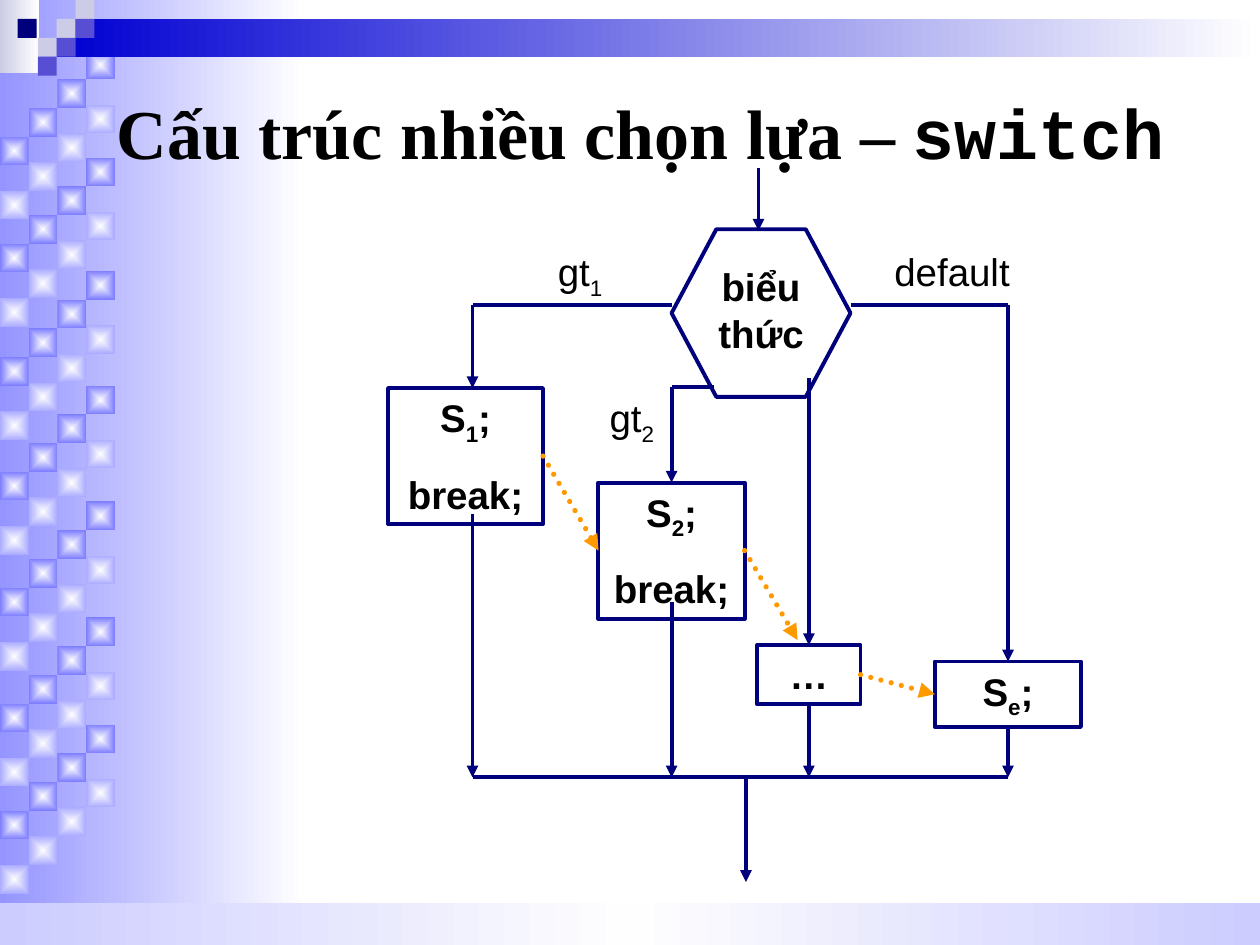
from pptx import Presentation
from pptx.dml.color import RGBColor
from pptx.enum.dml import MSO_LINE
from pptx.enum.shapes import MSO_CONNECTOR, MSO_SHAPE
from pptx.enum.text import MSO_ANCHOR, MSO_AUTO_SIZE, PP_ALIGN
from pptx.oxml import parse_xml
from pptx.oxml.ns import nsdecls, qn
from pptx.util import Inches, Pt

NAVY, ORANGE, BLACK = "00007D", "FF9900", "000000"
PALE, VIOLET = "CCCCE6", "584ED4"

# Content: "|" switches between normal and alternate (subscript or code) text
TITLE = "Cấu trúc nhiều chọn lựa – |switch"
LABELS = [
    ("gt|1", 4.33, 1.92, 0.67, 0.52),
    ("gt|2", 4.74, 3.08, 0.67, 0.52),
    ("default", 7, 1.92, 1.25, 0.47),
]
NODES = {
    "expression": (["biểu thức"], 5.33, 1.82, 1.42, 1.33),
    "first": (["S|1|;", "break;"], 3.08, 3.08, 1.23, 1.08),
    "second": (["S|2|;", "break;"], 4.75, 3.83, 1.16, 1.08),
    "dots": (["…"], 6.01, 5.12, 0.82, 0.47),
    "else": (["S|e|;"], 7.42, 5.25, 1.16, 0.52),
}

# Lines: start, end, arrow at end; an end is a point or (node, side)
TOP, LEFT, BOTTOM, RIGHT = range(4)
FALL_THROUGH = [
    (("first", RIGHT), ("second", LEFT), True),
    (("second", RIGHT), (6.33, 5.08), True),
    (("dots", RIGHT), ("else", LEFT), True),
]
FLOW = [
    ((6.02, 1.33), (6.02, 1.83), True),
    ((5.33, 2.42), (3.75, 2.42), False),
    ((3.75, 2.42), (3.75, 3.08), True),
    ((5.67, 3.07), (5.33, 3.07), False),
    ((5.33, 3.07), ("second", TOP), True),
    ((6.42, 3), ("dots", TOP), True),
    ((6.75, 2.42), (8, 2.42), False),
    ((8, 2.42), ("else", TOP), True),
    ((3.75, 4.08), (3.75, 6.17), True),
    ((5.33, 4.78), (5.33, 6.17), True),
    (("dots", BOTTOM), (6.42, 6.17), True),
    (("else", BOTTOM), (8, 6.17), True),
    ((3.75, 6.17), (8, 6.17), False),
    ((5.92, 6.17), (5.92, 7), True),
]

# Background
TILE = 0.228
TILE_CYCLES = [0.4, 1.25, 2.15, 3.06, 3.98, 4.9, 5.75]
TILE_SHADES = [("7D7DFF", 0), ("ABABFF", 0.43)]
SQUARE = 0.15
CORNER_SQUARES = [
    (0.45, 0.15, PALE), (0.6, 0, PALE), (0.6, 0.15, VIOLET), (0.3, 0.3, PALE),
    (0.14, 0.15, NAVY), (0.45, 0.3, VIOLET), (0.3, 0.45, VIOLET),
]

deck = Presentation()
deck.slide_width, deck.slide_height = Inches(10), Inches(7.5)
page = deck.slides.add_slide(deck.slide_layouts[6])


def color(value):
    return RGBColor.from_string(value)


def add_box(left, top, width, height, fill=None, line=None, kind=MSO_SHAPE.RECTANGLE):
    box = page.shapes.add_shape(kind, *map(Inches, (left, top, width, height)))
    box.shadow.inherit = False
    if fill:
        box.fill.solid()
        box.fill.fore_color.rgb = color(fill)
    else:
        box.fill.background()
    if line:
        box.line.color.rgb = color(line)
        box.line.width = Pt(2.25)
    else:
        box.line.fill.background()
    return box


def add_gradient(left, top, width, height, colors, from_center=False):
    box = add_box(left, top, width, height)
    stops = "".join(
        f'<a:gs pos="{100000 * index // (len(colors) - 1)}"><a:srgbClr val="{value}"/></a:gs>'
        for index, value in enumerate(colors))
    direction = '<a:lin ang="0" scaled="0"/>'
    if from_center:
        direction = ('<a:path path="rect"><a:fillToRect l="50000" t="50000"'
                     ' r="50000" b="50000"/></a:path>')
    gradient = parse_xml(f'<a:gradFill {nsdecls("a")} rotWithShape="1">'
                         f'<a:gsLst>{stops}</a:gsLst>{direction}</a:gradFill>')
    properties = box._element.spPr
    properties.replace(properties.find(qn("a:noFill")), gradient)


def write(box, lines, size=22, font="Arial", bold=False, align=PP_ALIGN.LEFT,
          anchor=MSO_ANCHOR.TOP, before=13.8, code_font=None, grow=True):
    frame = box.text_frame
    frame.word_wrap = True
    frame.vertical_anchor = anchor
    frame.auto_size = MSO_AUTO_SIZE.SHAPE_TO_FIT_TEXT if grow else MSO_AUTO_SIZE.NONE
    for number, line in enumerate(lines):
        para = frame.add_paragraph() if number else frame.paragraphs[0]
        para.alignment = align
        para.space_before = Pt(before)
        for index, text in enumerate(line.split("|")):
            span = para.add_run()
            span.text = text
            span.font.size, span.font.name, span.font.bold = Pt(size), font, bold
            span.font.color.rgb = color(BLACK)
            if index % 2 and code_font:
                span.font.name = code_font
            elif index % 2:
                span.font._element.set("baseline", "-25000")


def add_text(text, left, top, width, height, **style):
    box = page.shapes.add_textbox(*map(Inches, (left, top, width, height)))
    write(box, [text], **style)


def add_line(start, end, arrow, boxes, stroke=NAVY, width=2.25, dotted=False):
    points = [(0, 0) if point[0] in boxes else point for point in (start, end)]
    line = page.shapes.add_connector(
        MSO_CONNECTOR.STRAIGHT, *[Inches(value) for point in points for value in point])
    if start[0] in boxes:
        line.begin_connect(boxes[start[0]], start[1])
    if end[0] in boxes:
        line.end_connect(boxes[end[0]], end[1])
    line.line.color.rgb = color(stroke)
    line.line.width = Pt(width)
    properties = line._element.spPr
    outline = properties.find(qn("a:ln"))
    if dotted:
        line.line.dash_style = MSO_LINE.ROUND_DOT
        outline.set("cap", "rnd")
    if arrow:
        outline.append(parse_xml(f'<a:tailEnd {nsdecls("a")} type="triangle"/>'))
    properties.append(parse_xml(f'<a:effectLst {nsdecls("a")}/>'))


# Left band with diagonal rows of tiles
add_gradient(0, 0, 2.42, 7.5, ["9595FF", "FFFFFF"])
for cycle in TILE_CYCLES:
    for shade, offset in TILE_SHADES:
        for step in range(4):
            add_gradient((3 - step) * TILE, cycle + offset + step * TILE, TILE, TILE,
                         ["FEFEFE", shade], from_center=True)

# Footer, header bar and corner squares
add_gradient(0, 7.17, 10, 0.33, ["CCCCFF", "FEFEFE", "CCCCFF"])
add_gradient(0, 0, 0.31, 0.58, [PALE, "FFFFFF"])
add_gradient(0.45, 0.15, 9.55, 0.3, ["0000D2", "FFFFFF"])
for left, top, fill in CORNER_SQUARES:
    add_box(left, top, SQUARE, SQUARE, fill=fill)

# Flowchart nodes
boxes = {}
for name, (lines, *place) in NODES.items():
    decision = name == "expression"
    kind = MSO_SHAPE.HEXAGON if decision else MSO_SHAPE.RECTANGLE
    boxes[name] = add_box(*place, line=NAVY, kind=kind)
    if decision:
        boxes[name].adjustments[0] = 0.267
    write(boxes[name], lines, bold=True, align=PP_ALIGN.CENTER)

# Flowchart lines and branch labels
for line in FALL_THROUGH:
    add_line(*line, boxes, stroke=ORANGE, width=3, dotted=True)
for line in FLOW:
    add_line(*line, boxes)
for label in LABELS:
    add_text(*label)

# Title
add_text(TITLE, 0.83, 0.5, 8.67, 1.08, size=40, font="Times New Roman", bold=True,
         anchor=MSO_ANCHOR.MIDDLE, before=0, code_font="Courier New", grow=False)

deck.save("out.pptx")
